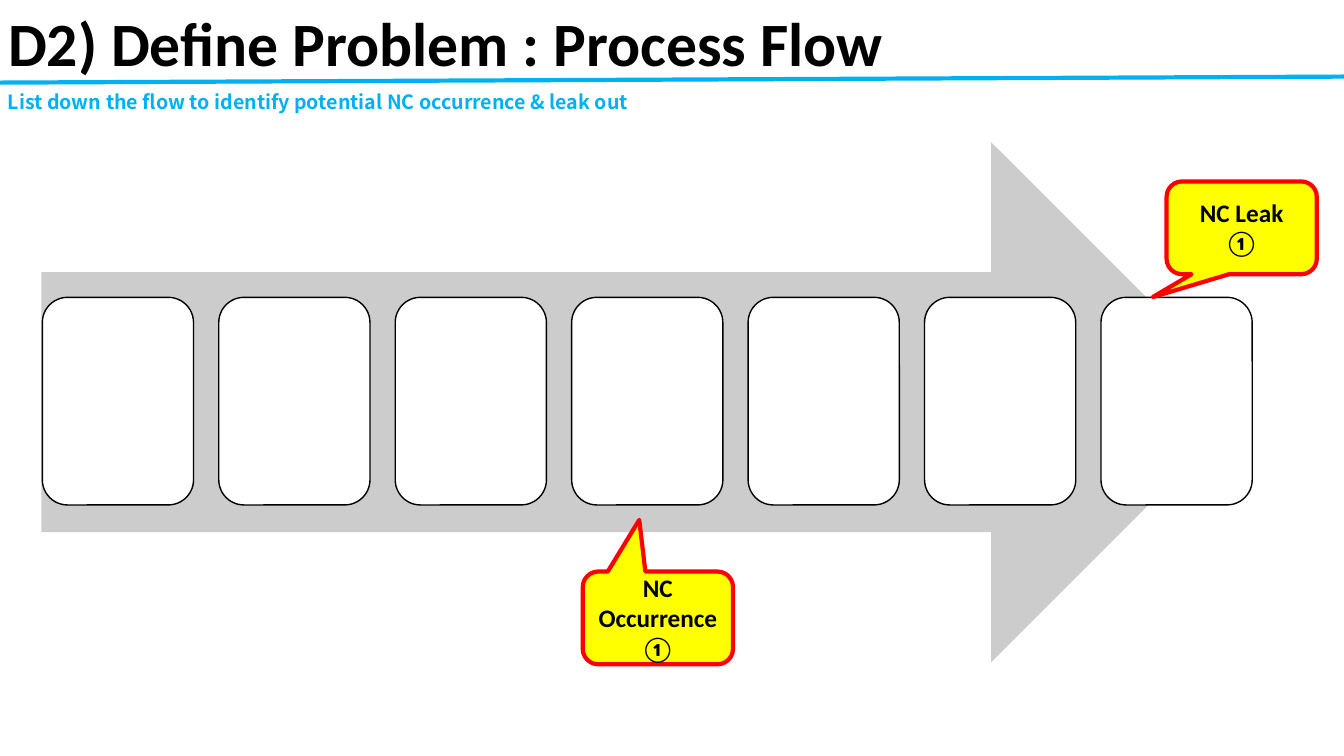
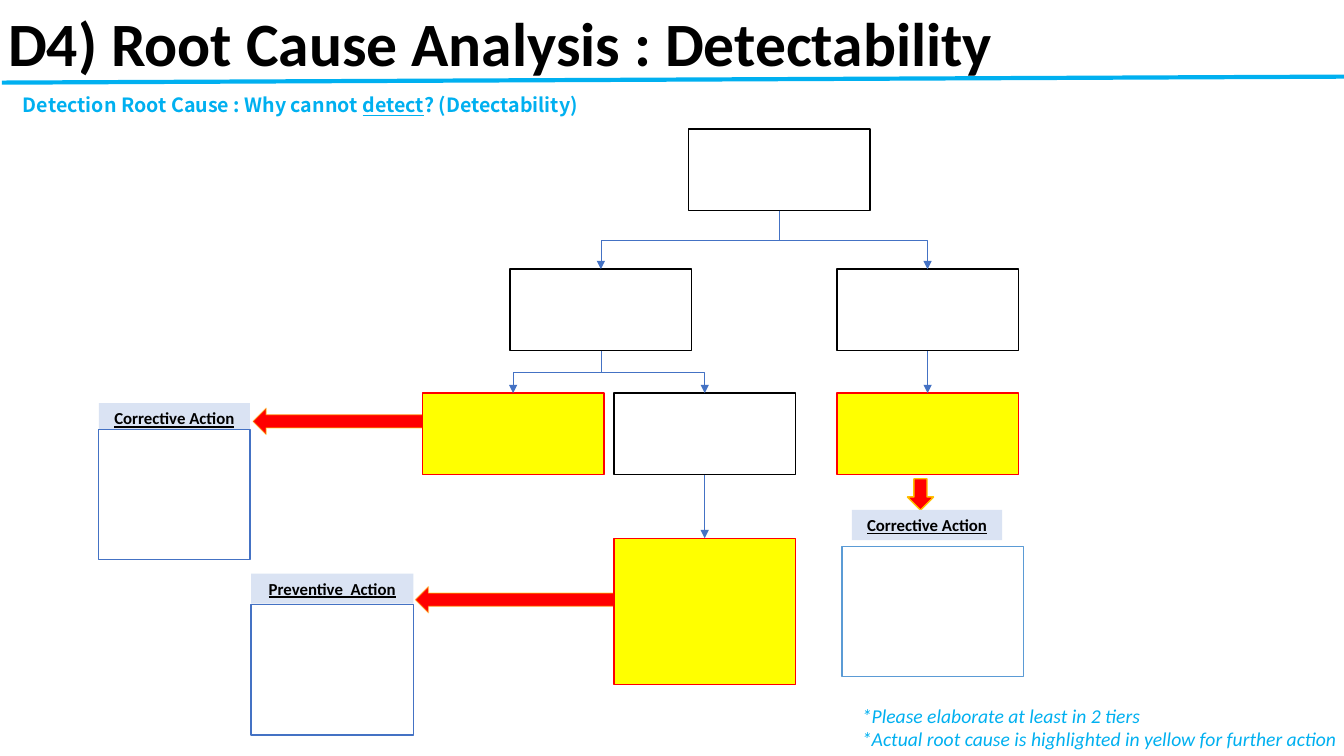
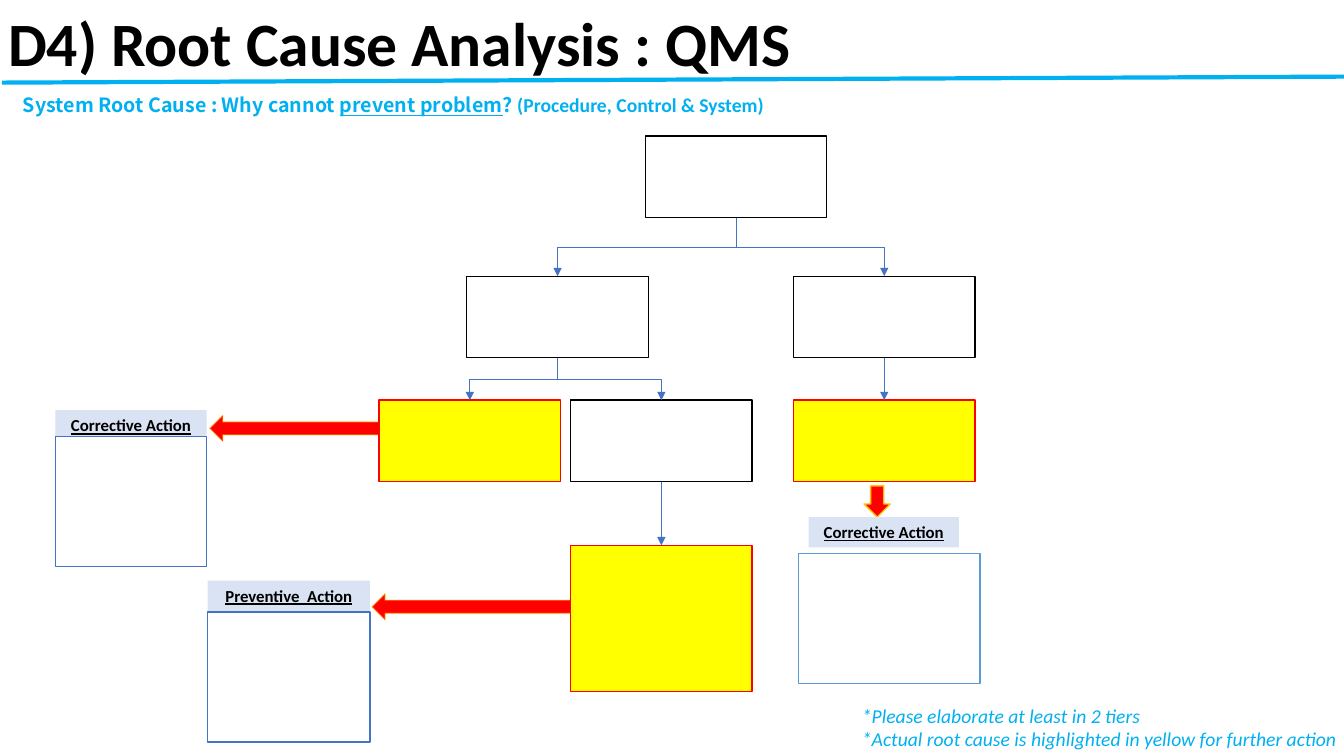
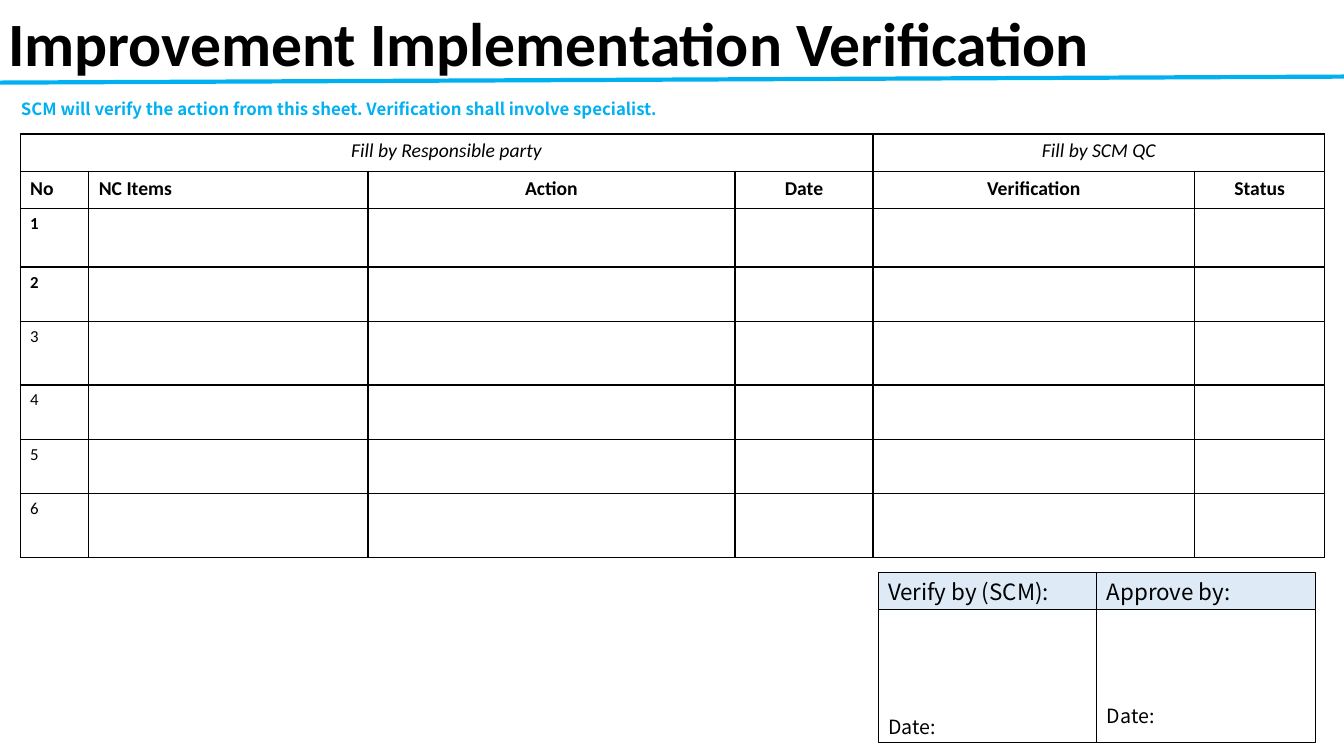
"""Build four problem-solving report slides: process flow, two cause trees and a verification sheet."""
from lxml import etree
from pptx import Presentation
from pptx.dml.color import RGBColor
from pptx.enum.shapes import MSO_CONNECTOR, MSO_SHAPE
from pptx.enum.text import MSO_ANCHOR, MSO_AUTO_SIZE, PP_ALIGN
from pptx.oxml import parse_xml
from pptx.oxml.ns import nsdecls, qn
from pptx.util import Inches, Pt

RECT = MSO_SHAPE.RECTANGLE
ROUNDED = MSO_SHAPE.ROUNDED_RECTANGLE
CALLOUT = MSO_SHAPE.ROUNDED_RECTANGULAR_CALLOUT
RIGHT_ARROW = MSO_SHAPE.RIGHT_ARROW
LEFT_ARROW = MSO_SHAPE.LEFT_ARROW
DOWN_ARROW = MSO_SHAPE.DOWN_ARROW
STRAIGHT = MSO_CONNECTOR.STRAIGHT
ELBOW = MSO_CONNECTOR.ELBOW
LEFT, CENTER = PP_ALIGN.LEFT, PP_ALIGN.CENTER
TOP, MIDDLE, BOTTOM = MSO_ANCHOR.TOP, MSO_ANCHOR.MIDDLE, MSO_ANCHOR.BOTTOM

BLACK = RGBColor(0x00, 0x00, 0x00)
WHITE = RGBColor(0xFF, 0xFF, 0xFF)
SKY = RGBColor(0x00, 0xB0, 0xF0)
BLUE = RGBColor(0x44, 0x72, 0xC4)
LIGHT_BLUE = RGBColor(0x5B, 0x9B, 0xD5)
LABEL_BLUE = RGBColor(0xDA, 0xE3, 0xF3)
HEADER_BLUE = RGBColor(0xDE, 0xEB, 0xF7)
GREY = RGBColor(0xCC, 0xCC, 0xCC)
RED = RGBColor(0xFF, 0x00, 0x00)
YELLOW = RGBColor(0xFF, 0xFF, 0x00)
ORANGE = RGBColor(0xFF, 0xC0, 0x00)

BODY = "Calibri"
NOTO = "Noto Sans CJK JP"
SLIDE_WIDTH, SLIDE_HEIGHT = 13.33, 7.5


def add_box(slide, kind, left, top, width, height, fill=None, line=None, weight=1,
            lines=(), align=LEFT, anchor=TOP, color=BLACK, size=12, **style):
    """Add a preset shape, or a text box when kind is None, with its text."""
    place = [Inches(length) for length in (left, top, width, height)]
    if kind is None:
        box = slide.shapes.add_textbox(*place)
    else:
        box = slide.shapes.add_shape(kind, *place)
        box.shadow.inherit = False
        if fill is None:
            box.fill.background()
        else:
            box.fill.solid()
            box.fill.fore_color.rgb = fill
        if line is None:
            box.line.fill.background()
        else:
            box.line.color.rgb = line
            box.line.width = Pt(weight)
    frame = box.text_frame
    frame.word_wrap = True
    frame.vertical_anchor = anchor
    for index, text in enumerate(lines):
        paragraph = frame.add_paragraph() if index else frame.paragraphs[0]
        paragraph.text = text
        paragraph.alignment = align
        paragraph.font.size = Pt(size)
        paragraph.font.color.rgb = color
        for name, value in style.items():
            setattr(paragraph.font, name, value)
    return box


def add_line(slide, kind, start, end, color, weight, arrow=False):
    """Add a connector without shadow, optionally with an arrowhead."""
    connector = slide.shapes.add_connector(kind, *[Inches(length) for length in (*start, *end)])
    connector.line.color.rgb = color
    connector.line.width = Pt(weight)
    properties = connector._element.spPr
    if arrow:
        etree.SubElement(properties.find(qn("a:ln")), qn("a:tailEnd"), type="triangle")
    etree.SubElement(properties, qn("a:effectLst"))
    return connector


prs = Presentation()
prs.slide_width, prs.slide_height = Inches(SLIDE_WIDTH), Inches(SLIDE_HEIGHT)
title_only = prs.slide_layouts[5]

headers = [
    ("D2) Define Problem : Process Flow", -0.02, (-0.02, 0.84), 14,
     "List down the flow to identify potential NC occurrence & leak out", []),
    ("D4) Root Cause Analysis : Detectability", 0.02, (0.13, 0.87), 14,
     "Detection Root Cause : Why cannot ",
     [("detect", True, NOTO), ("? (Detectability)", False, NOTO)]),
    ("D4) Root Cause Analysis : QMS", 0.02, (0.13, 0.87), 14,
     "System Root Cause : Why cannot ",
     [("prevent problem", True, NOTO), ("? ", False, NOTO),
      ("(Procedure, Control & System)", False, BODY)]),
    ("Improvement Implementation Verification", -0.02, (0.11, 0.93), 12,
     "SCM will verify the action from this sheet. Verification shall involve specialist.", []),
]

slides = []
for heading, rule_left, hint_place, hint_size, hint, hint_runs in headers:
    slide = prs.slides.add_slide(title_only)
    slides.append(slide)
    title = slide.shapes.title
    title.left, title.top = Inches(-0.02), 0
    title.width, title.height = Inches(SLIDE_WIDTH), Inches(0.84)
    title.text = heading
    title.text_frame.auto_size = MSO_AUTO_SIZE.NONE
    title.text_frame.vertical_anchor = TOP
    title_line = title.text_frame.paragraphs[0]
    title_line.alignment = LEFT
    title_line.font.name = BODY
    title_line.font.size = Pt(44)
    title_line.font.bold = True
    title_line.font.color.rgb = BLACK
    add_line(slide, STRAIGHT, (rule_left, 0.82), (rule_left + 13.35, 0.76), SKY, 3)
    hint_box = add_box(slide, None, *hint_place, 9, 0.34, lines=[hint],
                       color=SKY, size=hint_size, name=NOTO, bold=True)
    for text, underlined, font_name in hint_runs:
        run = hint_box.text_frame.paragraphs[0].add_run()
        run.text = text
        run.font.underline = underlined
        run.font.name = font_name

flow, detectability, qms, verification = slides

add_box(flow, RIGHT_ARROW, 0.41, 1.41, 12, 5.16, GREY)
for step in range(7):
    add_box(flow, ROUNDED, 0.42 + 1.75 * step, 2.95, 1.5, 2.06, WHITE, BLACK)
for left, top, pointer, lines in [
    (5.78, 5.67, (-0.124, -1.057), ["NC Occurrence①"]),
    (11.57, 1.8, (-0.592, 0.747), ["NC Leak", "①"]),
]:
    callout = add_box(flow, CALLOUT, left, top, 1.49, 0.92, YELLOW, RED, 3, lines,
                      CENTER, MIDDLE, size=18, name=BODY, bold=True)
    callout.adjustments[0], callout.adjustments[1] = pointer

CAUSE_WIDTH, CAUSE_HEIGHT = 1.8, 0.81
causes = {
    "problem": (7.73, 1.28, CAUSE_HEIGHT, False),
    "why left": (5.96, 2.67, CAUSE_HEIGHT, False),
    "why right": (9.2, 2.67, CAUSE_HEIGHT, False),
    "root left": (5.09, 3.9, CAUSE_HEIGHT, True),
    "why middle": (6.99, 3.9, CAUSE_HEIGHT, False),
    "root right": (9.2, 3.9, CAUSE_HEIGHT, True),
    "root middle": (6.99, 5.34, 1.45, True),
}
links = [
    ("problem", "why left"), ("problem", "why right"),
    ("why left", "root left"), ("why left", "why middle"),
    ("why right", "root right"), ("why middle", "root middle"),
]
actions = [
    ("Corrective Action", 0.98, 4, 1.5, 0.98, 4.26, 1.5, BLUE),
    ("Preventive  Action", 2.49, 5.69, 1.61, 2.49, 6, 1.61, BLUE),
    ("Corrective Action", 8.45, 5.06, 1.49, 8.35, 5.42, 1.8, LIGHT_BLUE),
]
action_arrows = [
    (LEFT_ARROW, 2.51, 4.05, 2.06, 0.26, 40),
    (LEFT_ARROW, 4.12, 5.82, 2.06, 0.26, 40),
    (DOWN_ARROW, 9, 4.75, 0.26, 0.31, 100),
]

for slide, shift_x, shift_y in [(detectability, 0, 0), (qms, -0.43, 0.07)]:
    add_box(slide, None, 8.45, 6.93, 4.95, 0.57,
            lines=["*Please elaborate at least in 2 tiers",
                   "*Actual root cause is highlighted in yellow for further action"],
            color=SKY, size=14, name=BODY, italic=True)
    for kind, left, top, width, height, opacity in action_arrows:
        action_arrow = add_box(slide, kind, left + shift_x, top + shift_y, width, height, RED, ORANGE)
        outline = action_arrow._element.spPr.find(f"{qn('a:ln')}//{qn('a:srgbClr')}")
        etree.SubElement(outline, qn("a:alpha"), val=str(opacity * 1000))
    for label, left, top, width, area_left, area_top, area_width, border in actions:
        add_box(slide, RECT, left + shift_x, top + shift_y, width, 0.3, LABEL_BLUE,
                lines=[label], align=CENTER, name=BODY, bold=True, underline=True)
        add_box(slide, RECT, area_left + shift_x, area_top + shift_y, area_width, 1.29, WHITE, border)
    for center, top, height, is_root in causes.values():
        add_box(slide, RECT, center - CAUSE_WIDTH / 2 + shift_x, top + shift_y, CAUSE_WIDTH, height,
                YELLOW if is_root else WHITE, RED if is_root else BLACK)
    for parent, child in links:
        start_x, parent_top, parent_height, _ = causes[parent]
        end_x, end_y, _, _ = causes[child]
        start_x, end_x = start_x + shift_x, end_x + shift_x
        start_y, end_y = parent_top + parent_height + shift_y, end_y + shift_y
        if start_x == end_x:
            add_line(slide, STRAIGHT, (start_x, start_y), (end_x, end_y), BLUE, 0.5, True)
            continue
        middle_x, middle_y = (start_x + end_x) / 2, (start_y + end_y) / 2
        half_drop, half_run = (end_y - start_y) / 2, abs(end_x - start_x) / 2
        turn, side = (90, 1) if end_x < start_x else (270, -1)
        elbow = add_line(slide, ELBOW, (middle_x - side * half_drop, middle_y - half_run),
                         (middle_x + side * half_drop, middle_y + half_run), BLUE, 0.5, True)
        elbow._element.spPr.find(qn("a:xfrm")).set("rot", str(turn * 60000))

SIGN_WIDTH = 2.17
for column, (signer, date_inset) in enumerate([("Verify by (SCM):", 0.05), ("Approve by:", 0.15)]):
    left = 8.71 + column * SIGN_WIDTH
    date_box = add_box(verification, RECT, left, 6.05, SIGN_WIDTH, 1.32, None, BLACK, 0.75,
                       ["Date:"], anchor=BOTTOM, size=14, name=NOTO)
    date_box.text_frame.margin_bottom = Inches(date_inset)
    add_box(verification, RECT, left, 5.68, SIGN_WIDTH, 0.37, HEADER_BLUE, BLACK, 0.75,
            [signer], anchor=MIDDLE, size=16, name=NOTO)

column_widths = [0.68, 2.77, 3.64, 1.37, 3.19, 1.29]
row_heights = [0.37, 0.37, 0.58, 0.54, 0.63, 0.54, 0.54, 0.63]
rows = [
    ["Fill by Responsible party", "", "", "", "Fill by SCM QC", ""],
    ["No", "NC Items", "Action", "Date", "Verification", "Status"],
] + [[str(number)] + [""] * 5 for number in range(1, 7)]
sheet = verification.shapes.add_table(
    len(rows), len(column_widths), Inches(0.2), Inches(1.33),
    Inches(sum(column_widths)), Inches(sum(row_heights))).table
sheet.first_row = sheet.horz_banding = False
for column, width in enumerate(column_widths):
    sheet.columns[column].width = Inches(width)
for row, texts in enumerate(rows):
    sheet.rows[row].height = Inches(row_heights[row])
    for column, text in enumerate(texts):
        cell = sheet.cell(row, column)
        cell.fill.background()
        for position, edge in enumerate(("lnL", "lnR", "lnT", "lnB")):
            cell._tc.get_or_add_tcPr().insert(position, parse_xml(
                f'<a:{edge} {nsdecls("a")} w="12700"><a:solidFill>'
                f'<a:srgbClr val="{BLACK}"/></a:solidFill></a:{edge}>'))
        cell.text = text
        paragraph = cell.text_frame.paragraphs[0]
        paragraph.alignment = CENTER if row == 0 or (row == 1 and column > 1) else LEFT
        paragraph.font.name = BODY
        paragraph.font.size = Pt(14 if row < 2 else 12)
        paragraph.font.italic = row == 0
        paragraph.font.bold = row in (1, 2, 3)
        paragraph.font.color.rgb = BLACK
sheet.cell(0, 0).merge(sheet.cell(0, 3))
sheet.cell(0, 4).merge(sheet.cell(0, 5))

prs.save("out.pptx")
